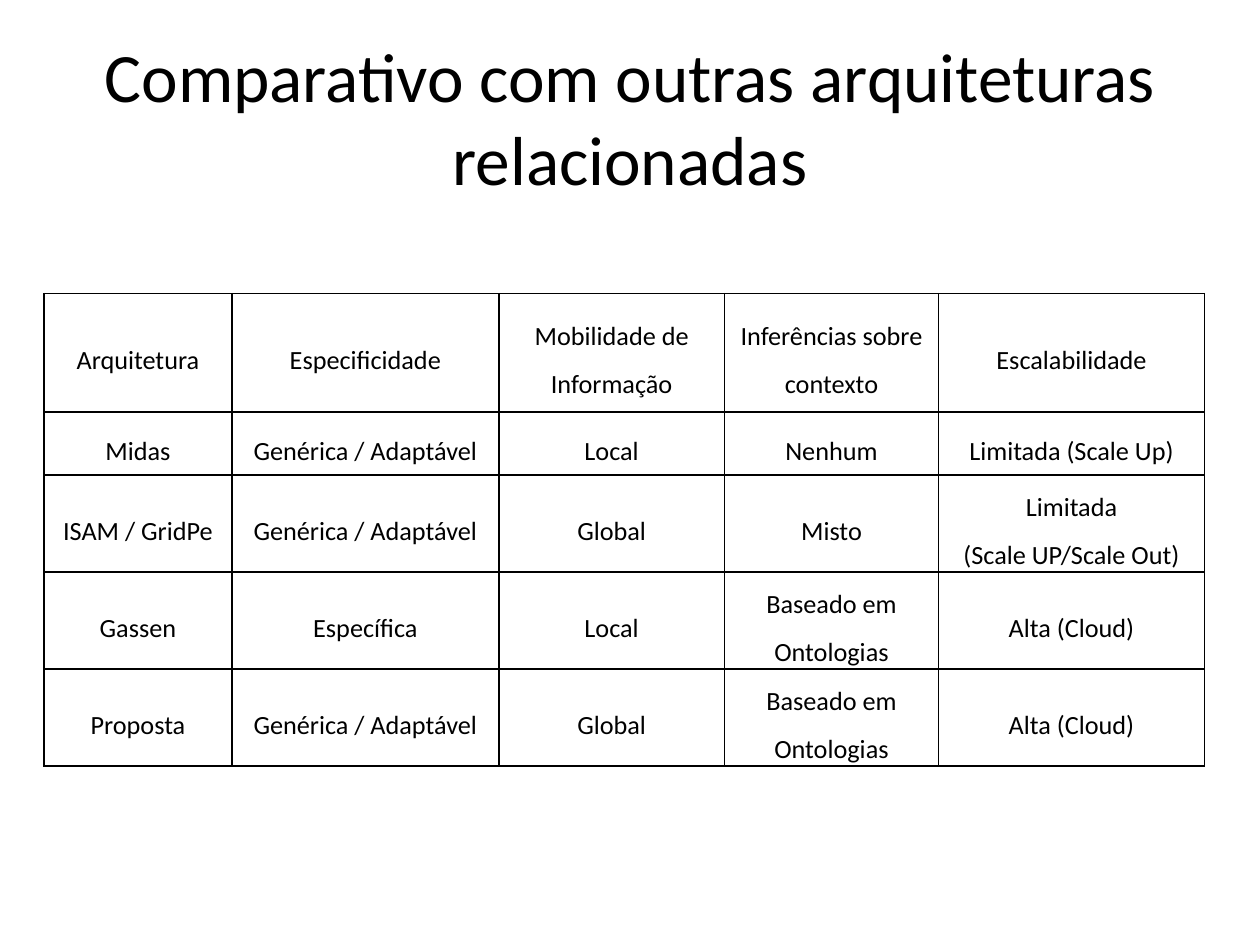
from lxml import etree
from pptx import Presentation
from pptx.dml.color import RGBColor
from pptx.enum.text import MSO_ANCHOR, PP_ALIGN
from pptx.oxml.ns import qn
from pptx.util import Inches, Pt

BLACK = "000000"
COL_WIDTHS = [1.49, 2.12, 1.79, 1.7, 2.11]
ROW_HEIGHTS = [0.94, 0.5, 0.77, 0.77, 0.77]
ROWS = [
    ["Arquitetura", "Especificidade", "Mobilidade de Informação",
     "Inferências sobre contexto", "Escalabilidade"],
    ["Midas", "Genérica / Adaptável", "Local", "Nenhum", "Limitada (Scale Up)"],
    ["ISAM / GridPe", "Genérica / Adaptável", "Global", "Misto",
     "Limitada\n(Scale UP/Scale Out)"],
    ["Gassen", "Específica", "Local", "Baseado em Ontologias", "Alta (Cloud)"],
    ["Proposta", "Genérica / Adaptável", "Global", "Baseado em Ontologias",
     "Alta (Cloud)"],
]


def write_text(tf, text, size, color=BLACK, spacing=None):
    """Fill a text frame with centred paragraphs, one per line of text."""
    tf.text = text
    tf.word_wrap = True
    for p in tf.paragraphs:
        p.alignment = PP_ALIGN.CENTER
        p.line_spacing = spacing
        for r in p.runs:
            r.font.name = "Calibri"
            r.font.size = Pt(size)
            r.font.color.rgb = RGBColor.from_string(color)


def set_borders(cell, color=BLACK, width=1):
    tc_pr = cell._tc.get_or_add_tcPr()
    for i, side in enumerate(("lnL", "lnR", "lnT", "lnB")):
        ln = etree.Element(qn(f"a:{side}"), w=str(Pt(width)))
        fill = etree.SubElement(ln, qn("a:solidFill"))
        etree.SubElement(fill, qn("a:srgbClr"), val=color)
        tc_pr.insert(i, ln)


prs = Presentation()
prs.slide_width, prs.slide_height = Inches(10), Inches(7.5)
s = prs.slides.add_slide(prs.slide_layouts[5])

title = s.shapes.title
title.left, title.top = Inches(0.5), Inches(0.3)
title.width, title.height = Inches(9), Inches(1.25)
title.text_frame.vertical_anchor = MSO_ANCHOR.MIDDLE
write_text(title.text_frame, "Comparativo com outras arquiteturas relacionadas", 39.6)

table = s.shapes.add_table(
    len(ROWS), len(COL_WIDTHS), Inches(0.35), Inches(2.33),
    Inches(sum(COL_WIDTHS)), Inches(sum(ROW_HEIGHTS))).table
table.first_row = table.horz_banding = False
for col, width in zip(table.columns, COL_WIDTHS):
    col.width = Inches(width)

for row, height, texts in zip(table.rows, ROW_HEIGHTS, ROWS):
    row.height = Inches(height)
    for cell, text in zip(row.cells, texts):
        cell.fill.background()
        cell.vertical_anchor = MSO_ANCHOR.MIDDLE
        cell.margin_left = cell.margin_right = Inches(0.1)
        cell.margin_top = cell.margin_bottom = 0
        write_text(cell.text_frame, text, 15, spacing=1.5)
        set_borders(cell)

prs.save("out.pptx")
